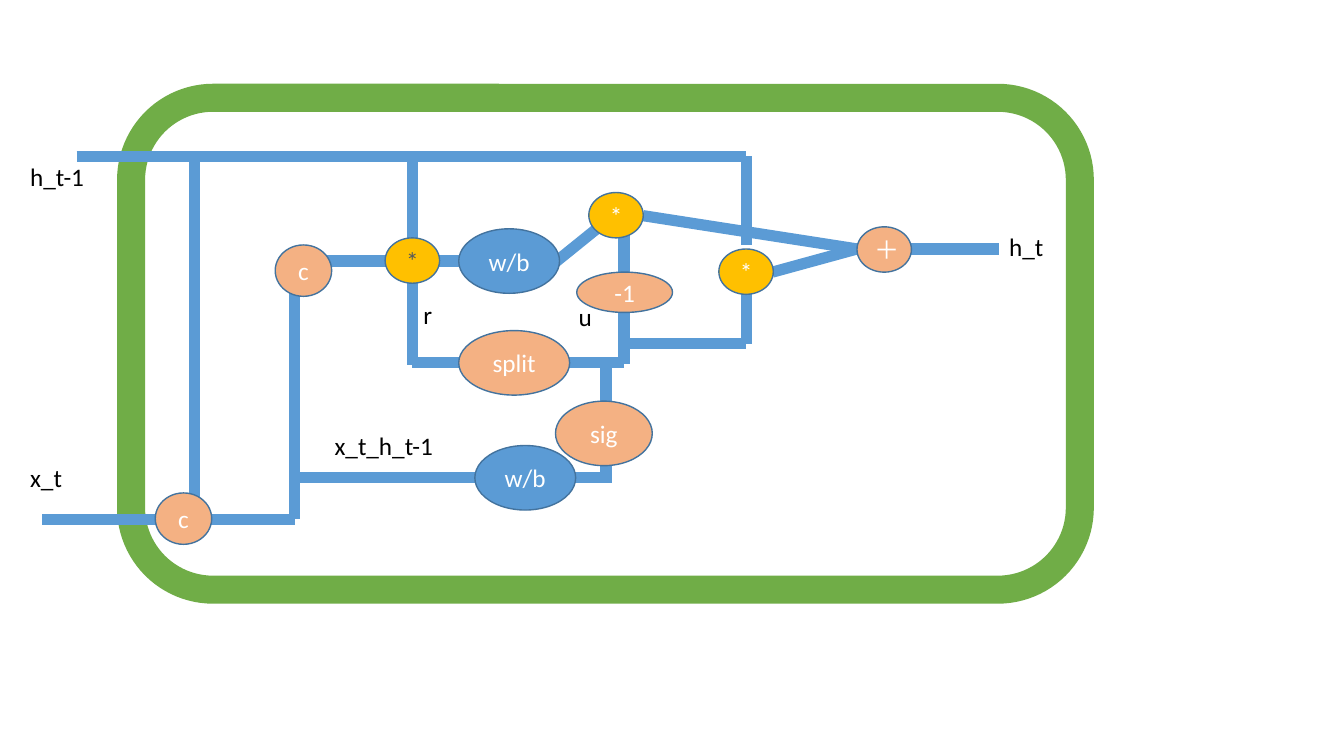
from lxml import etree
from pptx import Presentation
from pptx.dml.color import RGBColor
from pptx.enum.shapes import MSO_CONNECTOR, MSO_SHAPE
from pptx.enum.text import MSO_ANCHOR, PP_ALIGN
from pptx.oxml.ns import qn
from pptx.util import Inches, Pt

STRAIGHT = MSO_CONNECTOR.STRAIGHT
ROUNDED, OVAL = MSO_SHAPE.ROUNDED_RECTANGLE, MSO_SHAPE.OVAL
MIDDLE = MSO_ANCHOR.MIDDLE
LEFT, CENTER = PP_ALIGN.LEFT, PP_ALIGN.CENTER
COLORS = {
    "frame": "70AD47", "wire": "5B9BD5", "outline": "43739E",
    "weights": "5B9BD5", "operation": "F4B183", "product": "FFC000",
    "white": "FFFFFF", "black": "000000", "grey": "53575C",
}

WIDTH, HEIGHT = 13.33, 7.5
HIDDEN_Y, INPUT_Y, JOINED_Y = 1.55, 5.15, 4.74
CANDIDATE_Y, SPLIT_Y, UPDATE_Y, OUTPUT_Y = 2.59, 3.6, 3.41, 2.47
HIDDEN_X, JOINED_X, RESET_X = 1.93, 2.92, 4.09
SIGMOID_X, UPDATE_X, KEEP_X, SUM_X = 6.01, 6.19, 7.4, 8.5

WIRES = [
    (0.76, HIDDEN_Y, KEEP_X, HIDDEN_Y),
    (HIDDEN_X, HIDDEN_Y, HIDDEN_X, 5.12),
    (0.42, INPUT_Y, 2.93, INPUT_Y),
    (JOINED_X, JOINED_Y, 6.07, JOINED_Y),
    (SIGMOID_X, 3.62, SIGMOID_X, JOINED_Y),
    (RESET_X, SPLIT_Y, UPDATE_X, SPLIT_Y),
    (RESET_X, HIDDEN_Y, RESET_X, 3.62),
    (UPDATE_X, 2.17, UPDATE_X, 3.61),
    (JOINED_X, 2.6, JOINED_X, INPUT_Y),
    (2.96, CANDIDATE_Y, 5.23, CANDIDATE_Y),
    (5.51, 2.6, 6.03, 2.18),
    (UPDATE_X, UPDATE_Y, KEEP_X, UPDATE_Y),
    (KEEP_X, HIDDEN_Y, KEEP_X, 2.43),
    (KEEP_X, 2.9, KEEP_X, UPDATE_Y),
    (6.38, 2.14, SUM_X, OUTPUT_Y),
    (7.66, 2.7, SUM_X, OUTPUT_Y),
    (9.04, OUTPUT_Y, 9.91, OUTPUT_Y),
]

GATE, CONCAT, WEIGHTS = (0.54, 0.45), (0.56, 0.51), (1, 0.64)
NODES = [
    ("w/b", 4.71, 4.42, WEIGHTS, "weights", "white"),
    ("sig", 5.51, 3.98, (0.96, 0.64), "operation", "white"),
    ("split", 4.55, 3.28, (1.1, 0.64), "operation", "white"),
    ("*", 3.82, 2.36, GATE, "product", "grey"),
    ("c", 1.54, 4.89, CONCAT, "operation", "white"),
    ("c", 2.73, 2.43, CONCAT, "operation", "white"),
    ("w/b", 4.55, 2.27, WEIGHTS, "weights", "white"),
    ("-1", 5.72, 2.7, (0.95, 0.4), "operation", "white"),
    ("*", 5.84, 1.91, GATE, "product", "white"),
    ("*", 7.13, 2.47, GATE, "product", "white"),
    ("＋", 8.5, 2.25, GATE, "operation", "white"),
]

LABELS = [
    ("h_t-1", 0.2, 1.55, 0.97),
    ("x_t", 0.2, 4.54, 0.97),
    ("x_t_h_t-1", 3.22, 4.22, 1.33),
    ("r", 4.1, 2.92, 0.45),
    ("u", 5.64, 2.94, 0.45),
    ("h_t", 9.91, 2.25, 0.97),
]


def color(name):
    """Return the named palette colour."""
    return RGBColor.from_string(COLORS[name])


def write(shape, text, ink, align):
    """Put one styled paragraph into a shape."""
    shape.text_frame.word_wrap = True
    paragraph = shape.text_frame.paragraphs[0]
    paragraph.text = text
    paragraph.alignment = align
    paragraph.font.name = "Calibri"
    paragraph.font.size = Pt(18)
    paragraph.font.color.rgb = color(ink)


def add_outlined(slide, kind, box, fill, line, weight):
    """Add a filled and outlined shape without a shadow."""
    shape = slide.shapes.add_shape(kind, *map(Inches, box))
    shape.shadow.inherit = False
    shape.fill.solid()
    shape.fill.fore_color.rgb = color(fill)
    shape.line.color.rgb = color(line)
    shape.line.width = Pt(weight)
    return shape


def draw_wires(slide, left, top):
    """Draw the signal wires from the given corner."""
    for x1, y1, x2, y2 in WIRES:
        ends = (left + x1, top + y1, left + x2, top + y2)
        wire = slide.shapes.add_connector(STRAIGHT, *map(Inches, ends))
        wire.line.color.rgb = color("wire")
        wire.line.width = Pt(8)
        etree.SubElement(wire._element.spPr, qn("a:effectLst"))


def draw_nodes(slide, left, top):
    """Draw the operation nodes from the given corner."""
    for text, x, y, (width, height), fill, ink in NODES:
        box = (left + x, top + y, width, height)
        node = add_outlined(slide, OVAL, box, fill, "outline", 1)
        node.text_frame.vertical_anchor = MIDDLE
        write(node, text, ink, CENTER)


def draw_labels(slide, left, top):
    """Write the signal names from the given corner."""
    for text, x, y, width in LABELS:
        box = (left + x, top + y, width, 0.4)
        label = slide.shapes.add_textbox(*map(Inches, box))
        write(label, text, "black", LEFT)


def draw_recurrent_cell(slide, left, top):
    """Draw the gated recurrent cell with its inputs and output."""
    frame = (left + 1.3, top + 0.97, 9.41, 4.88)
    add_outlined(slide, ROUNDED, frame, "white", "frame", 20)
    draw_wires(slide, left, top)
    draw_nodes(slide, left, top)
    draw_labels(slide, left, top)


def main():
    """Build and save the presentation."""
    deck = Presentation()
    deck.slide_width, deck.slide_height = Inches(WIDTH), Inches(HEIGHT)
    slide = deck.slides.add_slide(deck.slide_layouts[6])
    draw_recurrent_cell(slide, 0, 0)
    deck.save("out.pptx")


main()
